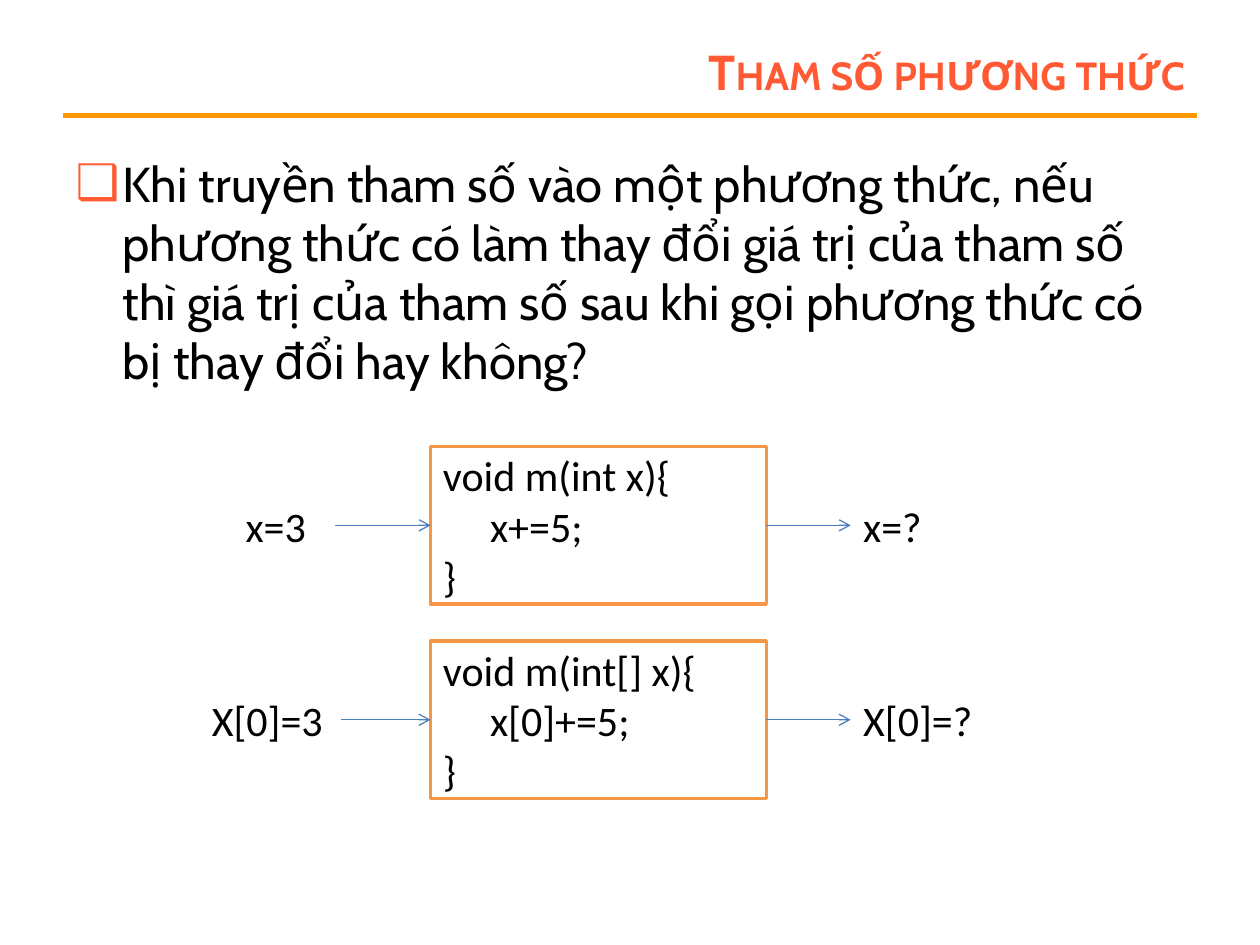
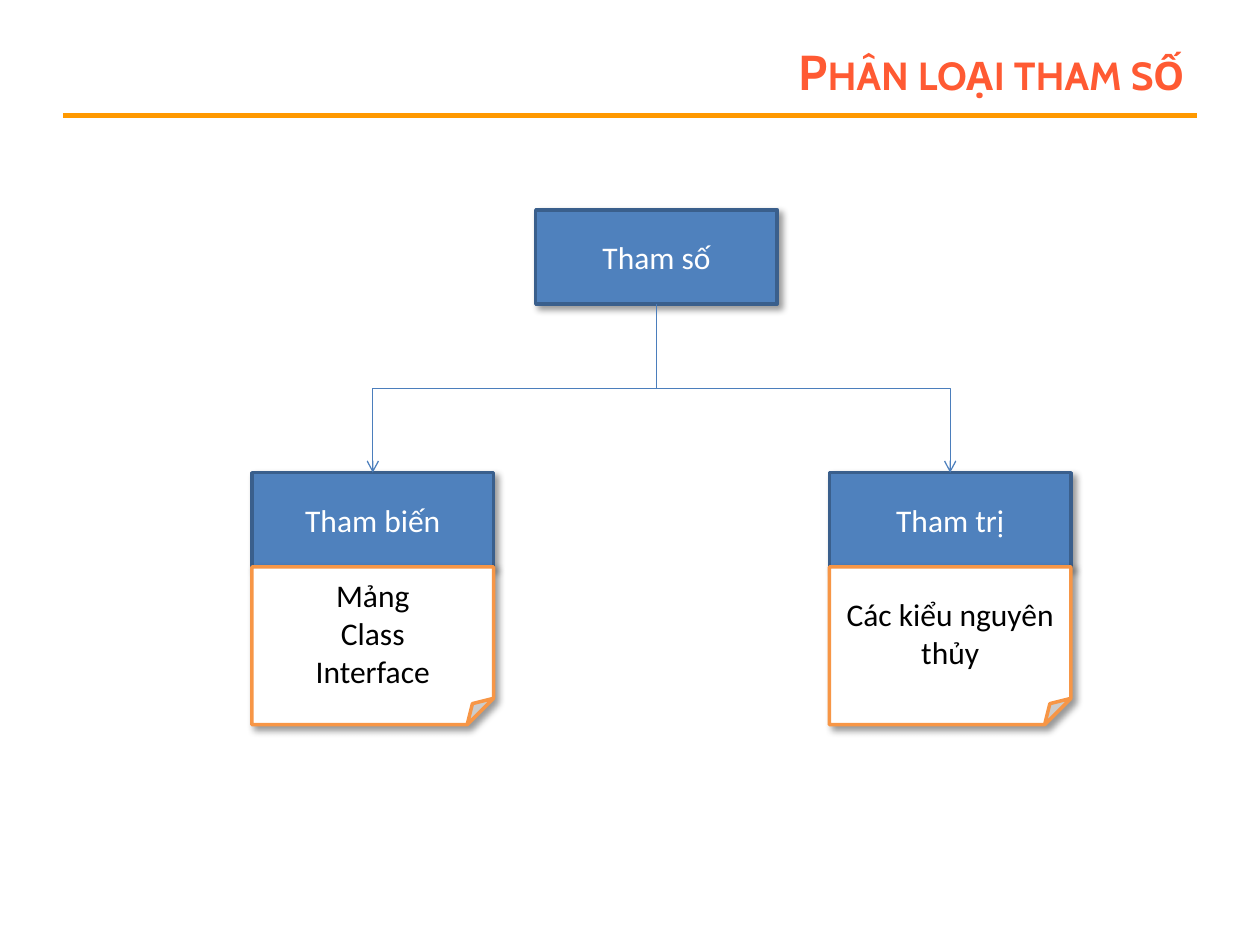
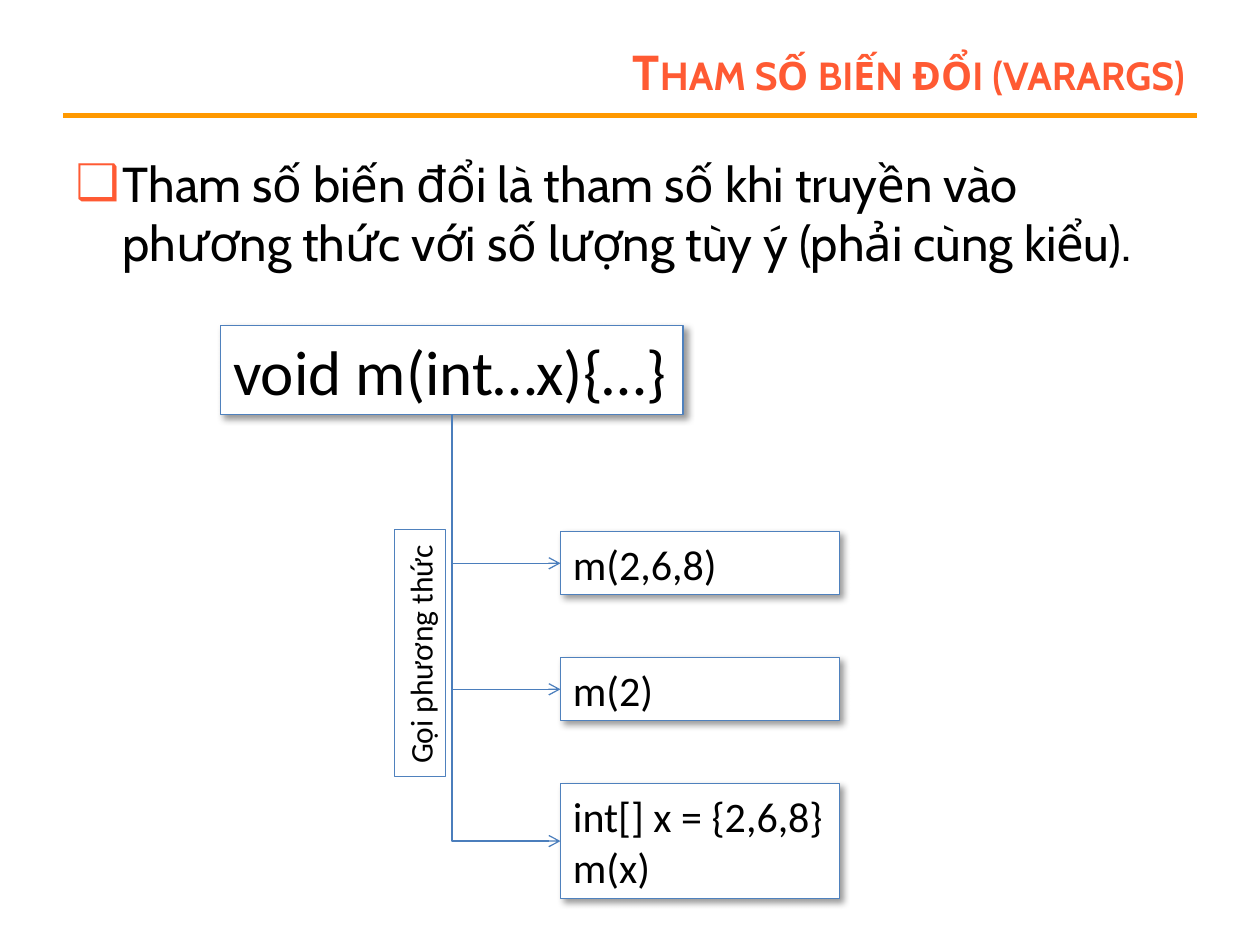
from dataclasses import dataclass

from lxml import etree
from pptx import Presentation
from pptx.dml.color import RGBColor
from pptx.enum import shapes, text
from pptx.oxml.ns import qn
from pptx.util import Cm, Pt


@dataclass(frozen=True)
class Theme:
    accent: str = "FF5A33"
    rule: str = "FF9900"
    blue: str = "4F81BD"
    dark_blue: str = "3A5F8C"
    arrow: str = "4B7EBC"
    orange: str = "F79646"
    white: str = "FFFFFF"
    black: str = "000000"
    heading_font: str = "Cabin"
    text_font: str = "Calibri"
    heading: int = 28
    signature: int = 36
    code: int = 24
    small: int = 18
    thin: float = 0.75
    thick: float = 2


theme = Theme()
rgb = RGBColor.from_string
RECT = shapes.MSO_SHAPE.RECTANGLE
CENTER = text.PP_ALIGN.CENTER


def box(slide, area, lines, size=theme.code, fill=theme.white, border=None, weight=theme.thin,
        color=theme.black, align=text.PP_ALIGN.LEFT, kind=RECT, shadow=False, wrap=True):
    """Add a bordered shape, or a plain text box when there is no border."""
    area = [Cm(length) for length in area]
    if border:
        item = slide.shapes.add_shape(kind, *area)
        item.fill.solid()
        item.fill.fore_color.rgb = rgb(fill)
        item.line.color.rgb = rgb(border)
        item.line.width = Pt(weight)
        item.shadow.inherit = False
    else:
        item = slide.shapes.add_textbox(*area)
    if shadow:
        effects = item._element.spPr.find(qn("a:effectLst"))
        outer = etree.SubElement(effects, qn("a:outerShdw"), blurRad=str(Pt(4)), dist=str(Pt(3)),
                                 dir="2700000", algn="tl", rotWithShape="0")
        tint = etree.SubElement(outer, qn("a:srgbClr"), val=theme.black)
        etree.SubElement(tint, qn("a:alpha"), val="40000")
    frame = item.text_frame
    frame.text = "\n".join(lines)
    frame.word_wrap = wrap
    frame.vertical_anchor = text.MSO_ANCHOR.MIDDLE
    for paragraph in frame.paragraphs:
        paragraph.alignment = align
        paragraph.font.name = theme.text_font
        paragraph.font.size = Pt(size)
        paragraph.font.color.rgb = rgb(color)
    return item


def arrow(slide, source, target, bend=None):
    """Go straight from right to left side, or down from the source with the given bend."""
    if bend is None:
        link = slide.shapes.add_connector(shapes.MSO_CONNECTOR.STRAIGHT, 0, 0, 0, 0)
        link.begin_connect(source, 3)
        link.end_connect(target, 1)
    else:
        x1, y1 = source.left + source.width // 2, source.top + source.height
        if bend == "bentConnector3":
            x2, y2 = target.left + target.width // 2, target.top
        else:
            x2, y2 = target.left, target.top + target.height // 2
        # A path that starts downwards is a sideways one turned about its centre
        run, rise = y2 - y1, abs(x2 - x1)
        left, top = (x1 + x2 - run) // 2, (y1 + y2 - rise) // 2
        ends = (left, left + run) if x2 < x1 else (left + run, left)
        link = slide.shapes.add_connector(shapes.MSO_CONNECTOR.ELBOW,
                                          ends[0], top, ends[1], top + rise)
        properties = link._element.spPr
        properties.find(qn("a:xfrm")).set("rot", str((90 if x2 < x1 else 270) * 60000))
        properties.find(qn("a:prstGeom")).set("prst", bend)
    link.line.color.rgb = rgb(theme.arrow)
    link.line.width = Pt(theme.thin)
    etree.SubElement(link.line._get_or_add_ln(), qn("a:tailEnd"), type="arrow")
    etree.SubElement(link._element.spPr, qn("a:effectLst"))


deck = Presentation()
deck.slide_width, deck.slide_height = Cm(25.4), Cm(19.05)

# Titles and lists: heading, list text, list height
contents = [
    ("Tham số phương thức",
     "Khi truyền tham số vào một phương thức, nếu phương thức có làm thay đổi giá trị của "
     "tham số thì giá trị của tham số sau khi gọi phương thức có bị thay đổi hay không?", 5.28),
    ("Phân loại tham số", None, None),
    ("Tham số biến đổi (varargs)",
     "Tham số biến đổi là tham số khi truyền vào phương thức với số lượng tùy ý "
     "(phải cùng kiểu).", 2.74),
]
for heading, point, height in contents:
    slide = deck.slides.add_slide(deck.slide_layouts[1 if point else 5])
    title = slide.shapes.title
    parts = [(title, heading, (5.72, 0.76, 18.42, 1.35), theme.accent)]
    if point:
        body = slide.placeholders[1]
        parts.append((body, point, (1.27, 2.97, 22.86, height), theme.black))
    for holder, words, area, color in parts:
        for side, length in zip(("left", "top", "width", "height"), area):
            setattr(holder, side, Cm(length))
        holder.text_frame.text = words
        holder.text_frame.auto_size = text.MSO_AUTO_SIZE.NONE
        font = holder.text_frame.paragraphs[0].runs[0].font
        font.name, font.size = theme.heading_font, Pt(theme.heading)
        font.color.rgb = rgb(color)
    title.text_frame.vertical_anchor = text.MSO_ANCHOR.MIDDLE
    first = title.text_frame.paragraphs[0]
    first.alignment = text.PP_ALIGN.RIGHT
    first.runs[0].font.bold = True
    first.runs[0]._r.get_or_add_rPr().set("cap", "small")
    if point:
        bullet = body.text_frame.paragraphs[0]._p.get_or_add_pPr()
        bullet.set("marL", str(Cm(0.95)))
        bullet.set("indent", str(-Cm(0.95)))
        tint = etree.SubElement(bullet, qn("a:buClr"))
        etree.SubElement(tint, qn("a:srgbClr"), val=theme.accent)
        etree.SubElement(bullet, qn("a:buChar"), char="❑")

parameters, kinds, varargs = deck.slides

# The rule under the titles belongs to the master
rule = parameters.shapes.add_connector(shapes.MSO_CONNECTOR.STRAIGHT,
                                       Cm(1.27), Cm(2.33), Cm(24.13), Cm(2.33))
rule.line.color.rgb = rgb(theme.rule)
rule.line.width = Pt(3)
etree.SubElement(rule._element.spPr, qn("a:effectLst"))
rule._element.nvCxnSpPr.cNvPr.id = 20
deck.slide_master.shapes._spTree.append(rule._element)

# Slide 1: what goes into each method and what comes out
calls = [
    (9.0, ["void m(int x){", "x+=5;", "}"], ("x=3", 4.7, 2.06), ("x=?", 1.75)),
    (12.92, ["void m(int[] x){", "x[0]+=5;", "}"], ("X[0]=3", 4.02, 2.86), ("X[0]=?", 3.81)),
]
for top, code, (before, before_left, before_width), (after, after_width) in calls:
    method = box(parameters, (8.68, top, 6.77, 3.18), code,
                 border=theme.orange, weight=theme.thick)
    method.text_frame.paragraphs[1]._p.get_or_add_pPr().set("marL", str(Cm(0.95)))
    label_top = top + (3.18 - 1.27) / 2
    given = box(parameters, (before_left, label_top, before_width, 1.27), [before])
    result = box(parameters, (17.15, label_top, after_width, 1.27), [after])
    arrow(parameters, method, result)
    arrow(parameters, given, method)

# Slide 2: tree of parameter kinds
node = dict(size=theme.small, fill=theme.blue, border=theme.dark_blue, weight=theme.thick,
            color=theme.white, align=CENTER, shadow=True)
note = node | dict(fill=theme.white, border=theme.orange, color=theme.black,
                   kind=shapes.MSO_SHAPE.FOLDED_CORNER)
root = box(kinds, (10.8, 4.23, 4.87, 1.9), ["Tham số"], **node)
branches = [
    (5.08, "Tham biến", ["Mảng", "Class", "Interface"]),
    (16.72, "Tham trị", ["Các kiểu nguyên thủy"]),
]
for left, name, examples in branches:
    branch = box(kinds, (left, 9.53, 4.87, 1.9), [name], **node)
    box(kinds, (left, 11.43, 4.87, 3.18), examples, **note)
    arrow(kinds, root, branch, "bentConnector3")

# Slide 3: one signature, three ways to call it
signature = box(varargs, (4.45, 6.56, 9.32, 1.8), ["void m(int…x){…}"], size=theme.signature,
                border=theme.blue, shadow=True, wrap=False)
examples = [(["m(2,6,8)"], 1.27), (["m(2)"], 1.27), (["int[] x = {2,6,8}", "m(x)"], 2.31)]
for row, (code, height) in enumerate(examples):
    example = box(varargs, (11.3, 10.72 + 2.54 * row, 5.62, height), code,
                  border=theme.blue, shadow=True, wrap=len(code) == 1)
    arrow(varargs, signature, example, "bentConnector2")
caption = box(varargs, (5.98, 12.65, 4.98, 1.02), ["Gọi phương thức"], size=theme.small,
              border=theme.blue, wrap=False)
caption.rotation = 270

deck.save("out.pptx")
